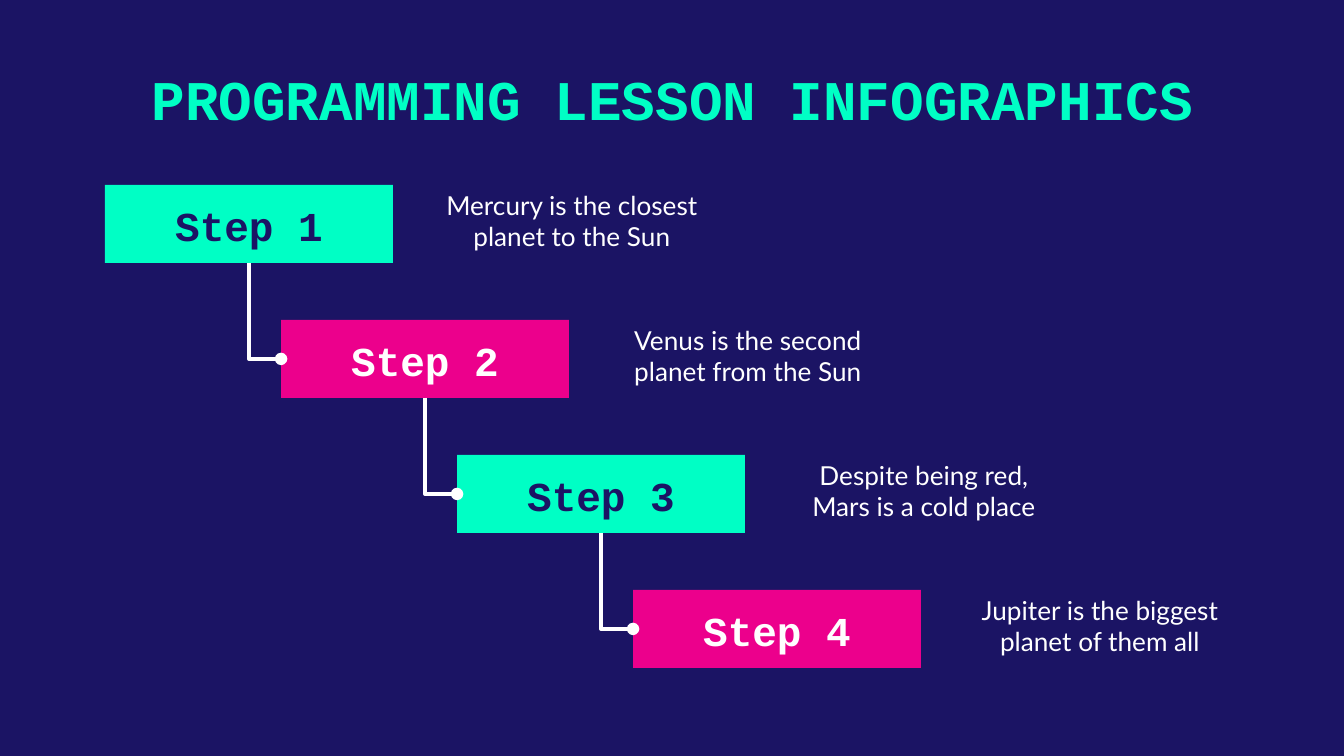
from dataclasses import dataclass

import pptx
import pptx.dml.color
import pptx.enum.shapes
import pptx.enum.text
import pptx.oxml.ns
import pptx.util
from lxml import etree

UNIT = 914400 / 134.4  # EMU in one px
ANCHOR = pptx.enum.text.MSO_ANCHOR


def px(size: float) -> int:
    return round(size * UNIT)


def tint(code: str) -> pptx.dml.color.RGBColor:
    return pptx.dml.color.RGBColor.from_string(code)


# Theme: colours, fonts and type sizes
@dataclass(frozen=True)
class Theme:
    navy: str = "1B1464"
    mint: str = "00FFC5"
    pink: str = "EC008C"
    white: str = "FFFFFF"
    code: str = "Courier New"
    sans: str = "Lato"
    head: int = 30
    label: int = 22
    body: int = 14
    line: float = 2.25


@dataclass(frozen=True)
class Area:
    x: int
    y: int
    w: int
    h: int


@dataclass(frozen=True)
class Step:
    label: str
    note: str
    fill: str
    ink: str


THEME = Theme()
MINT = (THEME.mint, THEME.navy)
PINK = (THEME.pink, THEME.white)
STEPS = [
    Step("Step 1", "Mercury is the closest planet to the Sun", *MINT),
    Step("Step 2", "Venus is the second planet from the Sun", *PINK),
    Step("Step 3", "Despite being red, Mars is a cold place", *MINT),
    Step("Step 4", "Jupiter is the biggest planet of them all", *PINK),
]
FIRST = Area(105, 185, 288, 78)
SHIFT, DROP = 176, 135


def place(shape, area: Area) -> None:
    spots = {"left": area.x, "top": area.y, "width": area.w, "height": area.h}
    for name, size in spots.items():
        setattr(shape, name, px(size))


def write(shape, text: str, ink: str, font: dict, anchor=ANCHOR.TOP) -> None:
    frame = shape.text_frame
    inset = pptx.util.Inches(0.1)
    form = {"word_wrap": True, "auto_size": pptx.enum.text.MSO_AUTO_SIZE.NONE,
            "vertical_anchor": anchor, "margin_left": inset, "margin_right": inset,
            "margin_top": inset, "margin_bottom": inset}
    for name, value in form.items():
        setattr(frame, name, value)
    para = frame.paragraphs[0]
    para.alignment = pptx.enum.text.PP_ALIGN.CENTER
    run = para.add_run()
    run.text = text
    for name, value in font.items():
        setattr(run.font, name, value)
    run.font.color.rgb = tint(ink)


def type_of(name: str, size: int, bold: bool) -> dict:
    return {"name": name, "size": pptx.util.Pt(size), "bold": bold}


def draw_step(slide, step: Step, area: Area):
    group = slide.shapes.add_group_shape().shapes
    note = group.add_textbox(0, 0, 0, 0)
    place(note, Area(area.x + 328, area.y - 9, 278, 98))
    write(note, step.note, THEME.white, type_of(THEME.sans, THEME.body, False))

    box = group.add_shape(pptx.enum.shapes.MSO_SHAPE.RECTANGLE, 0, 0, 0, 0)
    place(box, area)
    box.shadow.inherit = False
    box.fill.solid()
    box.fill.fore_color.rgb = tint(step.fill)
    box.line.fill.background()
    write(box, step.label, step.ink, type_of(THEME.code, THEME.label, True), ANCHOR.BOTTOM)
    return box


def link(slide, start, end, above: Area, below: Area) -> None:
    """Run down from the foot of one box, then right to the side of the next."""
    x, y = above.x + above.w // 2, above.y + above.h
    run, fall = below.x - x, below.y + below.h // 2 - y
    wire = slide.shapes.add_connector(pptx.enum.shapes.MSO_CONNECTOR.ELBOW, 0, 0, 0, 0)
    wire.begin_connect(start, 2)
    wire.end_connect(end, 1)
    # The frame is turned a quarter, so its width is the fall
    place(wire, Area(x + (run - fall) // 2, y + (fall - run) // 2, fall, run))
    props = wire._element.spPr
    frame = props.find(pptx.oxml.ns.qn("a:xfrm"))
    for name, value in {"rot": "16200000", "flipH": "1", "flipV": "0"}.items():
        frame.set(name, value)
    props.find(pptx.oxml.ns.qn("a:prstGeom")).set("prst", "bentConnector2")
    wire.line.color.rgb = tint(THEME.white)
    wire.line.width = pptx.util.Pt(THEME.line)
    stroke = props.find(pptx.oxml.ns.qn("a:ln"))
    etree.SubElement(stroke, pptx.oxml.ns.qn("a:tailEnd"), type="oval")
    etree.SubElement(props, pptx.oxml.ns.qn("a:effectLst"))


def main() -> None:
    deck = pptx.Presentation()
    deck.slide_width, deck.slide_height = px(1344), px(756)
    slide = deck.slides.add_slide(deck.slide_layouts[5])
    slide.background.fill.solid()
    slide.background.fill.fore_color.rgb = tint(THEME.navy)

    # Title
    title = slide.shapes.title
    place(title, Area(106, 51, 1133, 98))
    write(title, "PROGRAMMING LESSON INFOGRAPHICS", THEME.mint,
          type_of(THEME.code, THEME.head, True))

    # Staircase of steps
    areas = [Area(FIRST.x + i * SHIFT, FIRST.y + i * DROP, FIRST.w, FIRST.h)
             for i in range(len(STEPS))]
    boxes = [draw_step(slide, step, area) for step, area in zip(STEPS, areas)]

    # Links between neighbours
    for i in range(len(boxes) - 1):
        link(slide, boxes[i], boxes[i + 1], areas[i], areas[i + 1])

    deck.save("out.pptx")


if __name__ == "__main__":
    main()
